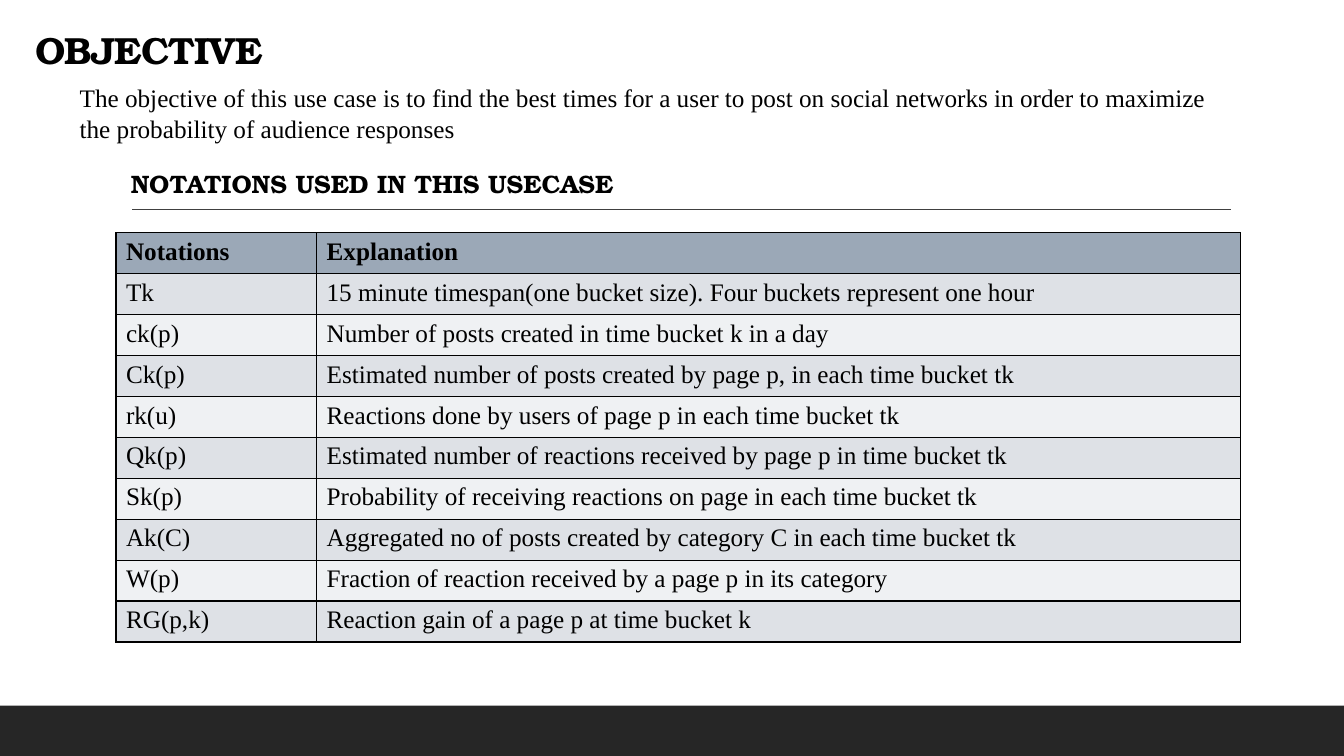
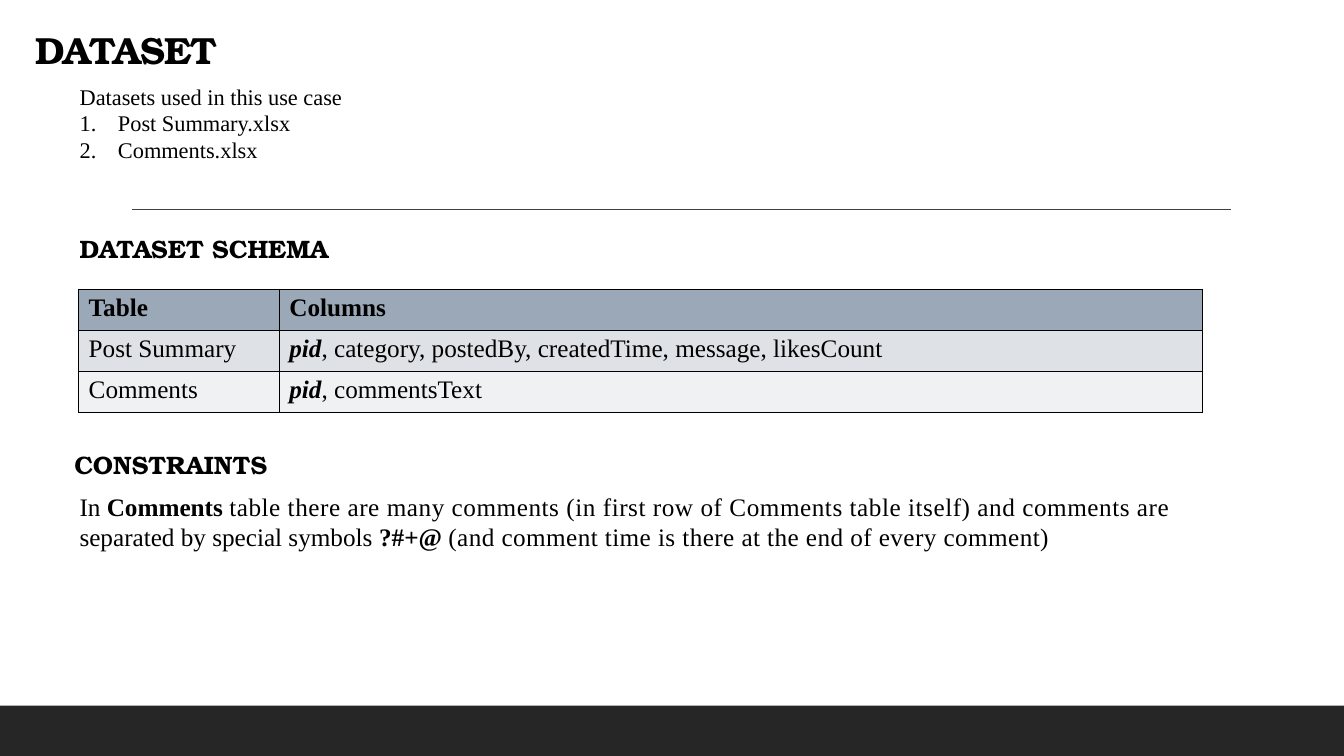
"""Build the objective and dataset slides of a post-timing use case."""
import pptx
import pptx.dml.color
import pptx.enum.shapes
import pptx.enum.text
import pptx.oxml
import pptx.oxml.ns
import pptx.util
from lxml import etree

Inches = pptx.util.Inches
Pt = pptx.util.Pt
RGBColor = pptx.dml.color.RGBColor
qn = pptx.oxml.ns.qn

BLACK = RGBColor(0x00, 0x00, 0x00)
BAND = RGBColor(0x26, 0x26, 0x26)
RULE = RGBColor(0x40, 0x40, 0x40)
HEADER = RGBColor(0x9B, 0xA8, 0xB7)
ROW_DARK = RGBColor(0xDE, 0xE1, 0xE6)
ROW_LIGHT = RGBColor(0xEF, 0xF1, 0xF3)
HEADING_FONT = "TeX Gyre Bonum"
BODY_FONT = "Times New Roman"

CONTENT = [
    {
        "title": "OBJECTIVE",
        "intro": ["The objective of this use case is to find the best times for a user to post on "
                  "social networks in order to maximize the probability of audience responses"],
        "intro_size": 18,
        "intro_height": 0.71,
        "headings": [("NOTATIONS USED IN THIS USECASE", 1.2, 1.62)],
        "table_at": (1.15, 2.31, 4.06),
        "rows": [
            ("Notations", "Explanation"),
            ("Tk", "15 minute timespan(one bucket size). Four buckets represent one hour"),
            ("ck(p)", "Number of posts created in time bucket k in a day"),
            ("Ck(p)", "Estimated number of posts created by page p, in each time bucket tk"),
            ("rk(u)", "Reactions done by users of page p in each time bucket tk"),
            ("Qk(p)", "Estimated number of reactions received by page p in time bucket tk"),
            ("Sk(p)", "Probability of receiving reactions on page in each time bucket tk"),
            ("Ak(C)", "Aggregated no of posts created by category C in each time bucket tk"),
            ("W(p)", "Fraction of reaction received by a page p in its category"),
            ("RG(p,k)", "Reaction gain of a page p at time bucket k"),
        ],
    },
    {
        "title": "DATASET",
        "intro": ["Datasets used in this use case", "Post Summary.xlsx", "Comments.xlsx"],
        "intro_size": 16,
        "intro_height": 0.91,
        "headings": [("DATASET SCHEMA", 0.69, 2.27), ("CONSTRAINTS", 0.64, 4.41)],
        "table_at": (0.78, 2.87, 1.22),
        "rows": [
            ("Table", "Columns"),
            ("Post Summary", "pid, category, postedBy, createdTime, message, likesCount"),
            ("Comments", "pid, commentsText"),
        ],
    },
]

CONSTRAINT_RUNS = [
    ("In ", False, 0),
    ("Comments ", True, 0),
    ("table there are many comments (in first row of Comments table itself) and comments are ",
     False, 40),
    ("separated by special symbols ", False, 0),
    ("?#+@ ", True, 0),
    ("(and comment time is there at the end of every comment)", False, 30),
]


def style(paragraph, font_name, size, bold=False):
    paragraph.font.name = font_name
    paragraph.font.size = Pt(size)
    paragraph.font.bold = bold
    paragraph.font.color.rgb = BLACK


def add_text_box(slide, left, top, width, height):
    frame = slide.shapes.add_textbox(
        Inches(left), Inches(top), Inches(width), Inches(height)).text_frame
    frame.word_wrap = True
    return frame.paragraphs[0]


prs = pptx.Presentation()
prs.slide_width = Inches(13.33)
prs.slide_height = Inches(7.5)

layout = prs.slide_layouts[1]
layout_title, layout_body, *layout_footers = layout.placeholders
for footer in layout_footers:
    layout.shapes.element.remove(footer.element)
layout_title.left, layout_title.top = Inches(0.25), Inches(0.25)
layout_title.width, layout_title.height = Inches(11), Inches(0.52)

slides = [prs.slides.add_slide(layout) for _ in CONTENT]

band = slides[0].shapes.add_shape(
    pptx.enum.shapes.MSO_SHAPE.RECTANGLE, 0, Inches(7), prs.slide_width, Inches(0.5))
band.shadow.inherit = False
band.fill.solid()
band.fill.fore_color.rgb = BAND
band.line.fill.background()
rule = slides[0].shapes.add_connector(
    pptx.enum.shapes.MSO_CONNECTOR.STRAIGHT,
    Inches(1.31), Inches(2.08), Inches(12.21), Inches(2.08))
rule.line.color.rgb = RULE
rule.line.width = Pt(1)
etree.SubElement(rule.element.spPr, qn("a:effectLst"))
for decoration in (band, rule):
    layout.shapes.element.append(decoration.element)

for slide, content in zip(slides, CONTENT):
    title = slide.shapes.title
    title.text_frame.text = content["title"]
    title.text_frame.vertical_anchor = pptx.enum.text.MSO_ANCHOR.BOTTOM
    title.text_frame.auto_size = pptx.enum.text.MSO_AUTO_SIZE.NONE
    title_line = title.text_frame.paragraphs[0]
    title_line.alignment = pptx.enum.text.PP_ALIGN.LEFT
    title_line.line_spacing = 0.9
    style(title_line, HEADING_FONT, 27, True)
    title_line.runs[0]._r.get_or_add_rPr().set("spc", "-50")

    intro = slide.placeholders[1]
    intro.left, intro.top = Inches(0.69), Inches(0.77)
    intro.width, intro.height = Inches(11.51), Inches(content["intro_height"])
    intro.text_frame.text = "\n".join(content["intro"])
    intro.text_frame.auto_size = pptx.enum.text.MSO_AUTO_SIZE.NONE
    for index, paragraph in enumerate(intro.text_frame.paragraphs):
        style(paragraph, BODY_FONT, content["intro_size"])
        paragraph.space_before = Pt(0)
        indent = Inches(0.38) if index else 0
        properties = paragraph._p.get_or_add_pPr()
        properties.set("marL", str(indent))
        properties.set("indent", str(-indent))
        bullet = etree.Element(qn("a:buAutoNum" if index else "a:buNone"))
        if index:
            bullet.set("type", "arabicPeriod")
        properties.find(qn("a:defRPr")).addprevious(bullet)

    for text, left, top in content["headings"]:
        heading = add_text_box(slide, left, top, 5.11, 0.4)
        heading.text = text
        style(heading, HEADING_FONT, 18, True)

    left, top, height = content["table_at"]
    rows = content["rows"]
    table = slide.shapes.add_table(
        len(rows), 2, Inches(left), Inches(top), Inches(11.15), Inches(height)).table
    table.columns[0].width, table.columns[1].width = Inches(1.99), Inches(9.16)
    for row_index, row in enumerate(rows):
        row_fill = ROW_DARK if row_index % 2 else ROW_LIGHT
        for column_index, text in enumerate(row):
            cell = table.cell(row_index, column_index)
            cell.fill.solid()
            cell.fill.fore_color.rgb = row_fill if row_index else HEADER
            paragraph = cell.text_frame.paragraphs[0]
            style(paragraph, BODY_FONT, 18, row_index == 0)
            if text.startswith("pid"):
                key = paragraph.add_run()
                key.text = "pid"
                key.font.bold = key.font.italic = True
            paragraph.add_run().text = text.removeprefix("pid")
            for position, side in enumerate(("lnL", "lnR", "lnT", "lnB")):
                border = pptx.oxml.parse_xml(
                    f'<a:{side} xmlns:a="http://schemas.openxmlformats.org/drawingml/2006/main" '
                    f'w="12700"><a:solidFill><a:srgbClr val="{BLACK}"/></a:solidFill></a:{side}>')
                cell._tc.get_or_add_tcPr().insert(position, border)

constraint = add_text_box(slides[1], 0.69, 4.82, 11.15, 1.01)
style(constraint, BODY_FONT, 18)
for text, bold, spacing in CONSTRAINT_RUNS:
    run = constraint.add_run()
    run.text = text
    run.font.bold = bold
    run._r.get_or_add_rPr().set("spc", str(spacing))

prs.save("out.pptx")
